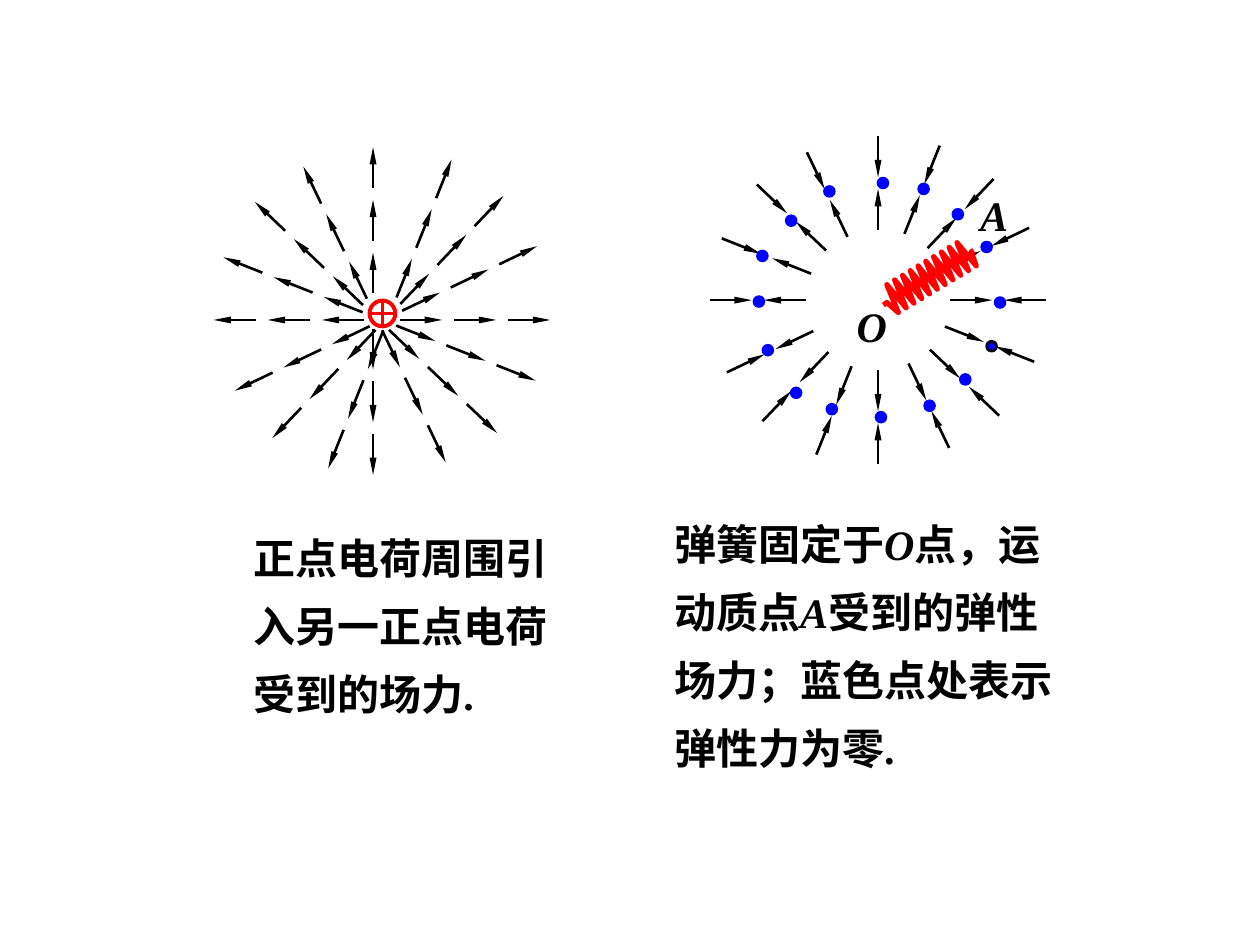
import pptx
import pptx.util
import pptx.dml.color
import pptx.enum.shapes
import pptx.enum.text
import pptx.oxml
import pptx.oxml.ns
from pptx.util import Cm, Pt

BLACK, RED, BLUE = "000000", "FF0000", "0000FF"


def paint(color_format, hex_color):
    color_format.rgb = pptx.dml.color.RGBColor.from_string(hex_color)


def draw_line(start, end, hex_color, width, arrow=False):
    line = slide.shapes.add_connector(
        pptx.enum.shapes.MSO_CONNECTOR.STRAIGHT,
        Cm(start[0]), Cm(start[1]), Cm(end[0]), Cm(end[1]))
    paint(line.line.color, hex_color)
    line.line.width = Pt(width)
    if arrow:
        tip = pptx.oxml.parse_xml(
            f'<a:tailEnd {pptx.oxml.ns.nsdecls("a")} type="triangle" w="sm" len="lg"/>')
        line.line._get_or_add_ln().append(tip)
    line._element.spPr.append(
        pptx.oxml.parse_xml(f'<a:effectLst {pptx.oxml.ns.nsdecls("a")}/>'))


presentation = pptx.Presentation()
presentation.slide_width, presentation.slide_height = Cm(25.4), Cm(19.05)
slide = presentation.slides.add_slide(presentation.slide_layouts[6])

# Field directions: (ray vector, centre of that axis around the charge), in cm
axes = [
    ((3.03, 0), (7.70, 6.45)),
    ((0, -2.95), (7.52, 6.27)),
    ((2.08, -2.18), (7.82, 6.39)),
    ((2.18, 2.08), (7.58, 6.40)),
    ((1.11, -2.78), (7.86, 6.33)),
    ((2.81, 1.11), (7.65, 6.43)),
    ((2.72, -1.30), (7.78, 6.42)),
    ((1.28, 2.66), (7.55, 6.34)),
]
spring_centre = (17.70, 6.05)

# Arrow spans as fractions of the ray vector
outward_spans = [(0.12, 0.40), (0.48, 0.76), (0.84, 1.12)]
restoring_spans = [(0.48, 0.76), (1.12, 0.84)]

for vector, charge_axis in axes:
    for centre, spans in ((charge_axis, outward_spans),
                          (spring_centre, restoring_spans)):
        for sign in (1, -1):
            for span in spans:
                start, end = [
                    [c + sign * part * v for c, v in zip(centre, vector)]
                    for part in span]
                draw_line(start, end, BLACK, 1.5, arrow=True)

# Positive charge
charge_x, charge_y, radius = 7.71, 6.32, 0.26
charge = slide.shapes.add_shape(
    pptx.enum.shapes.MSO_SHAPE.OVAL, Cm(charge_x - radius), Cm(charge_y - radius),
    Cm(2 * radius), Cm(2 * radius))
charge.shadow.inherit = False
charge.fill.background()
paint(charge.line.color, RED)
charge.line.width = Pt(2.25)
draw_line((charge_x - radius, charge_y), (charge_x + radius, charge_y), RED, 2.25)
draw_line((charge_x, charge_y - radius), (charge_x, charge_y + radius), RED, 2.25)

# Points of zero elastic force: centre and outline colour
zero_points = [
    (18.62, 3.81, BLUE), (17.80, 3.69, BLUE), (16.72, 3.86, BLUE), (15.95, 4.45, BLUE),
    (15.37, 5.16, BLUE), (15.30, 6.08, BLUE), (15.48, 7.06, BLUE), (16.05, 7.92, BLUE),
    (16.77, 8.25, BLUE), (19.31, 4.32, BLUE), (19.89, 4.98, BLUE), (20.16, 6.10, BLUE),
    (19.99, 6.98, BLACK), (19.46, 7.65, BLUE), (18.74, 8.18, BLUE), (17.76, 8.41, BLUE),
]
for x, y, outline in zero_points:
    zero_point = slide.shapes.add_shape(
        pptx.enum.shapes.MSO_SHAPE.OVAL, Cm(x - 0.1), Cm(y - 0.1), Cm(0.2), Cm(0.2))
    zero_point.shadow.inherit = False
    zero_point.fill.solid()
    paint(zero_point.fill.fore_color, BLUE)
    paint(zero_point.line.color, outline)
    zero_point.line.width = Pt(1.5)

# Spring: eleven lower turns with ten upper turns between them
turns = 10
coil = [(17.88, 6.10)]
for turn in range(turns + 1):
    shift_x, shift_y = 1.57 * turn / turns, -0.94 * turn / turns
    coil.append((18.11 + shift_x, 6.30 + shift_y))
    if turn < turns:
        coil.append((17.88 + shift_x, 5.74 + shift_y))
coil += [(19.58, 5.08), (19.63, 5.05)]
coil_path = slide.shapes.build_freeform(Cm(17.81), Cm(6.15))
coil_path.add_line_segments([(Cm(x), Cm(y)) for x, y in coil], close=False)
spring = coil_path.convert_to_shape()
spring.shadow.inherit = False
spring.fill.background()
paint(spring.line.color, RED)
spring.line.width = Pt(3)

# Labels and captions: left, top, width, height, wrap, line spacing, (text, italic) runs
texts = [
    (17.02, 5.93, 1.12, 1.27, True, 1, [("O", True)]),
    (19.51, 3.70, 1.07, 1.27, False, 1, [("A", True)]),
    (4.86, 10.26, 7.01, 4.37, True, 1.35,
     [("正点电荷周围引入另一正点电荷受到的场力.", False)]),
    (13.34, 9.98, 8.45, 5.74, True, 1.35,
     [("弹簧固定于", False), ("O", True), ("点，运动质点", False), ("A", True),
      ("受到的弹性场力；蓝色点处表示弹性力为零.", False)]),
]
for left, top, width, height, wrap, spacing, runs in texts:
    frame = slide.shapes.add_textbox(Cm(left), Cm(top), Cm(width), Cm(height)).text_frame
    frame.word_wrap = wrap
    frame.auto_size = pptx.enum.text.MSO_AUTO_SIZE.SHAPE_TO_FIT_TEXT
    paragraph = frame.paragraphs[0]
    paragraph.line_spacing = spacing
    for words, italic in runs:
        run = paragraph.add_run()
        run.text = words
        run.font.name = "Times New Roman"
        run.font.size = Pt(24)
        run.font.bold = True
        run.font.italic = italic
        paint(run.font.color, BLACK)

presentation.save("out.pptx")
